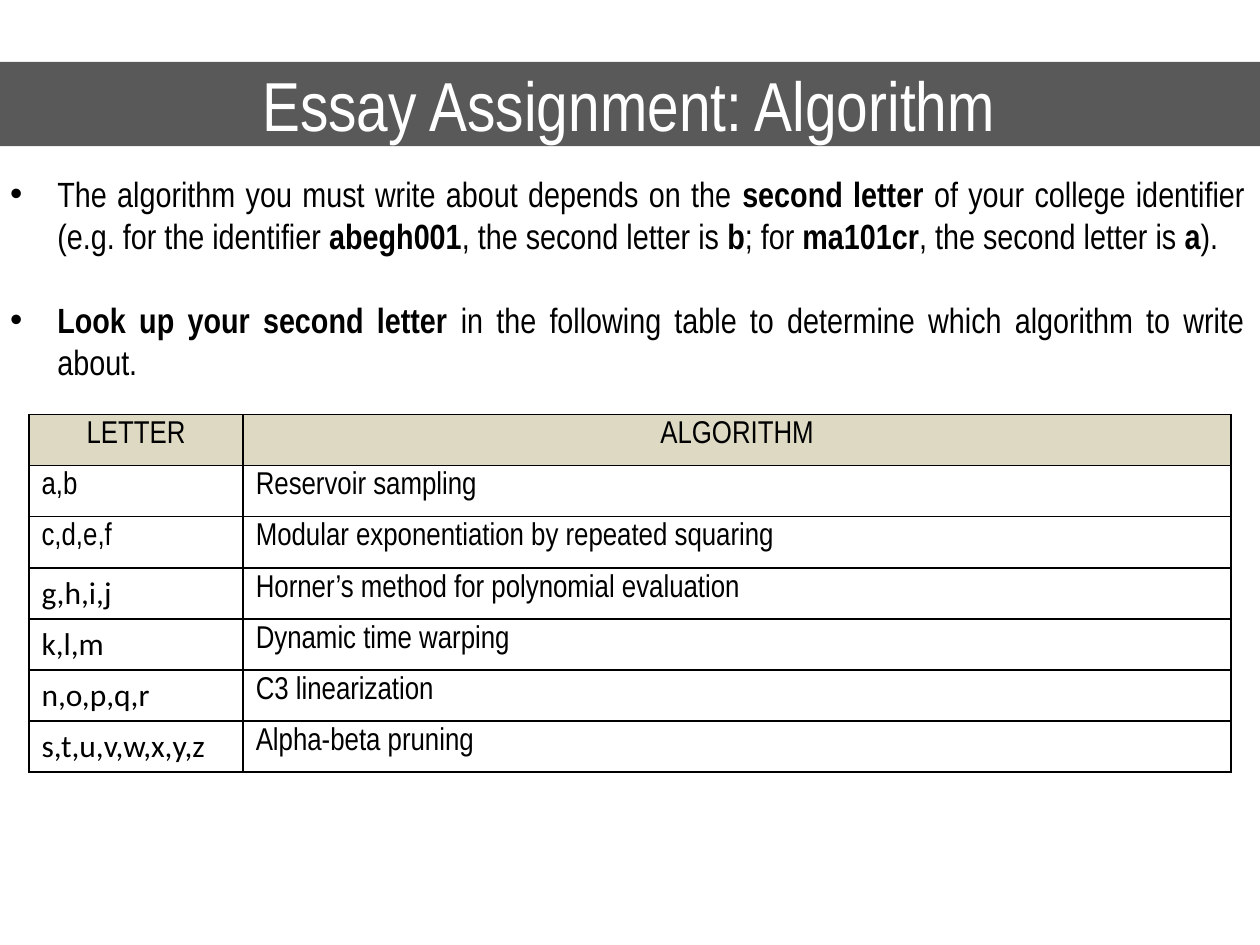
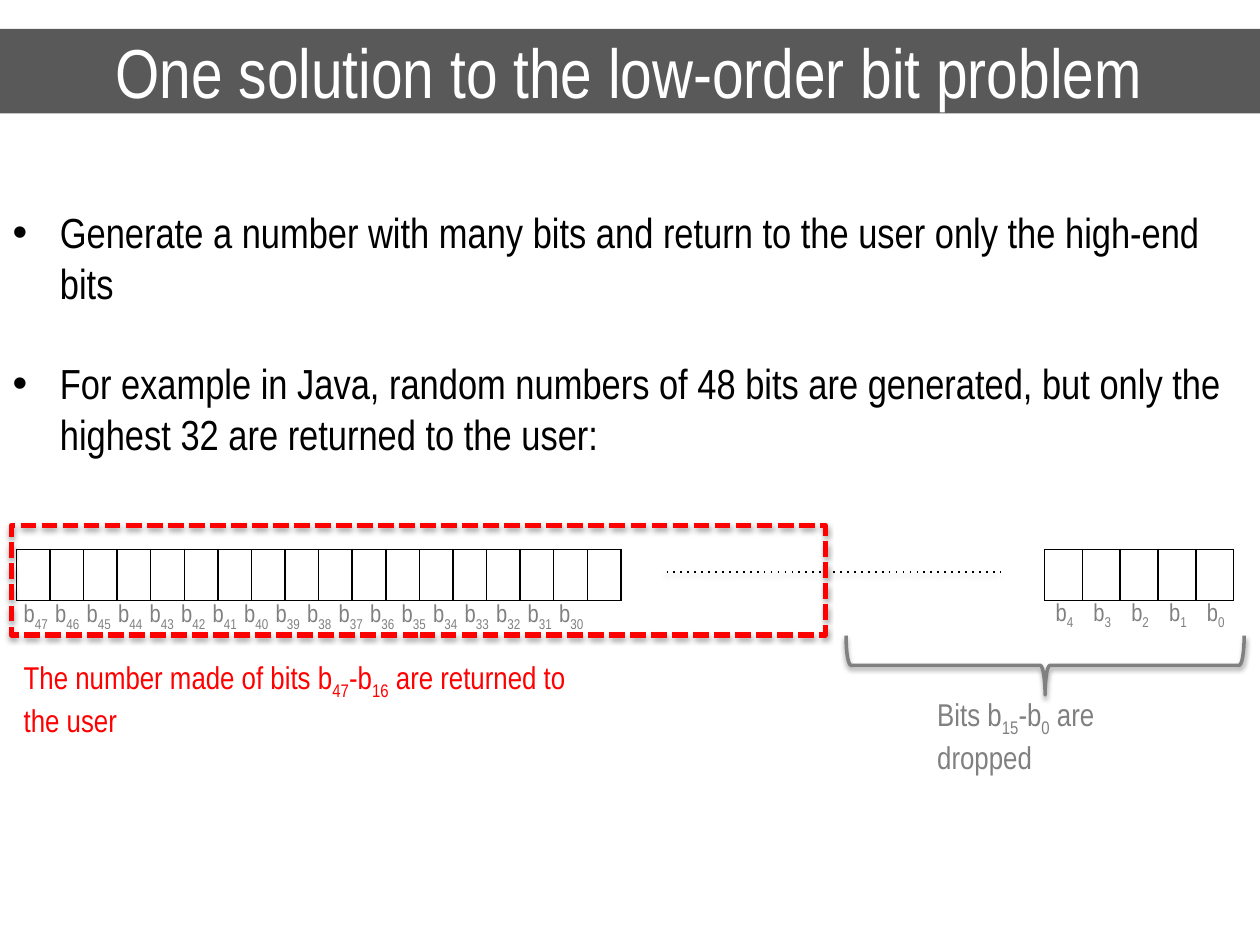
from lxml.etree import SubElement
from pptx import Presentation
from pptx.dml.color import RGBColor
from pptx.enum.shapes import MSO_CONNECTOR, MSO_SHAPE
from pptx.enum.text import MSO_ANCHOR, MSO_AUTO_SIZE, PP_ALIGN
from pptx.oxml.ns import qn
from pptx.util import Inches, Pt

COLOURS = {"band": "595959", "title": "FFFFFF", "ink": "000000", "header": "DDD9C3",
           "dropped": "808080", "returned": "FF0000"}
FONT = "Arial Narrow"
CELL_FONT = "Calibri"
ROW_HEIGHT = 2.84 / 7

# Parts between bars are emphasised: bold in lists, subscript in bit labels.
ESSAY = {
    "title": "Essay Assignment: Algorithm",
    "points": [
        "The algorithm you must write about depends on the |second letter |of your college "
        "identifier (e.g. for the identifier |abegh001|, the second letter is |b|; for "
        "|ma101cr|, the second letter is |a|).",
        "|Look up your second letter |in the following table to determine which algorithm "
        "to write about.",
    ],
    "header": ("LETTER", "ALGORITHM"),
    "rows": [
        ("a,b", "Reservoir sampling"),
        ("c,d,e,f", "Modular exponentiation by repeated squaring"),
        ("g,h,i,j", "Horner’s method for polynomial evaluation"),
        ("k,l,m", "Dynamic time warping"),
        ("n,o,p,q,r", "C3 linearization"),
        ("s,t,u,v,w,x,y,z", "Alpha-beta pruning"),
    ],
    "calibri_letters_from": 3,
}
BITS = {
    "title": "One solution to the low-order bit problem",
    "points": [
        "Generate a number with many bits and return to the user only the high-end bits",
        "For example in Java, random numbers of 48 bits are generated, but only the highest "
        "32 are returned to the user:",
    ],
    # first bit, last bit, cells left, cell width, labels box, label pitch
    "registers": [
        (47, 30, 0.13, 4.8 / 18, (0.09, 4.7, 5.96, 0.34), 0.25),
        (4, 0, 8.29, 0.3, (8.28, 4.69, 1.59, 0.34), 0.3),
    ],
    "captions": [
        ("The number made of bits b|47|-b|16| are returned to the user",
         (0.09, 5.17, 4.6, 0.75), "returned"),
        ("Bits b|15|-b|0| are dropped", (7.34, 5.47, 2.03, 0.75), "dropped"),
    ],
}


def colour(name):
    return RGBColor.from_string(COLOURS[name])


def write(para, text, size, ink="ink", font=FONT, mark="bold", align=None):
    """Fill a paragraph, giving every second part between bars the mark."""
    para.alignment = align
    for index, part in enumerate(text.split("|")):
        if not part:
            continue
        span = para.add_run()
        span.text = part
        span.font.name, span.font.size = font, Pt(size)
        span.font.color.rgb = colour(ink)
        if index % 2 and mark == "bold":
            span.font.bold = True
        elif index % 2:
            span._r.get_or_add_rPr().set("baseline", "-25000")


def place(shape, left, top, width, height):
    shape.left, shape.top = Inches(left), Inches(top)
    shape.width, shape.height = Inches(width), Inches(height)


def add_page(deck, content, band_top, list_area, size, align=None):
    """Add a slide with its title band and bulleted list."""
    page = deck.slides.add_slide(deck.slide_layouts[1])
    title, body = page.shapes.title, page.placeholders[1]
    place(title, -0.02, band_top, 10.02, 0.67)
    title.fill.solid()
    title.fill.fore_color.rgb = colour("band")
    title.text_frame.auto_size = MSO_AUTO_SIZE.NONE
    title.text_frame.vertical_anchor = MSO_ANCHOR.MIDDLE
    write(title.text_frame.paragraphs[0], content["title"], 39.6, "title",
          align=PP_ALIGN.CENTER)

    place(body, *list_area)
    frame = body.text_frame
    frame.auto_size = MSO_AUTO_SIZE.NONE
    for index, point in enumerate(content["points"]):
        para = frame.add_paragraph() if index else frame.paragraphs[0]
        para.space_before = Pt(1.2 * size if index else 0)
        write(para, point, size, align=align)
    return page


def add_grid(page, left, top, widths, row_count):
    """Add an unstyled table with thin black borders."""
    frame = page.shapes.add_table(row_count, len(widths), Inches(left), Inches(top),
                                  Inches(sum(widths)), Inches(ROW_HEIGHT * row_count))
    table = frame.table
    table.first_row = table.horz_banding = False
    for column, width in zip(table.columns, widths):
        column.width = Inches(width)
    for cell in table.iter_cells():
        properties = cell._tc.get_or_add_tcPr()
        for side in ("a:lnL", "a:lnR", "a:lnT", "a:lnB"):
            border = SubElement(properties, qn(side), w=str(Pt(1)))
            fill = SubElement(border, qn("a:solidFill"))
            SubElement(fill, qn("a:srgbClr"), val=COLOURS["ink"])
        cell.fill.background()
    return table


def add_label(page, area, text, size, ink):
    box = page.shapes.add_textbox(*map(Inches, area))
    box.text_frame.word_wrap = True
    para = box.text_frame.paragraphs[0]
    write(para, text, size, ink, mark="subscript")
    return para


def add_register(page, first, last, left, cell_width, label_area, pitch):
    """Draw one row of bit cells with evenly tabbed labels below."""
    bits = range(first, last - 1, -1)
    add_grid(page, left, 4.36, [cell_width] * len(bits), 1)
    labels = "\t".join(f"b|{bit}|" for bit in bits)
    para = add_label(page, label_area, labels, 14, "dropped")
    tabs = SubElement(para._p.get_or_add_pPr(), qn("a:tabLst"))
    for index in range(1, len(bits)):
        SubElement(tabs, qn("a:tab"), pos=str(Inches(index * pitch)), algn="l")


def outline(shape, ink, width, dash="solid"):
    """Set the line and the soft shadow beneath it."""
    shape.line.color.rgb = colour(ink)
    shape.line.width = Pt(width)
    properties = shape.element.spPr
    SubElement(properties.find(qn("a:ln")), qn("a:prstDash"), val=dash)
    effects = SubElement(properties, qn("a:effectLst"))
    shadow = SubElement(effects, qn("a:outerShdw"), blurRad=str(Pt(3.1)), dist=str(Pt(1.6)),
                        dir="5400000", rotWithShape="0")
    tint = SubElement(shadow, qn("a:srgbClr"), val=COLOURS["ink"])
    SubElement(tint, qn("a:alpha"), val="38000")


def build_essay(deck):
    page = add_page(deck, ESSAY, 0.49, (-0.02, 1.32, 10, 1.78), 20, PP_ALIGN.JUSTIFY)
    rows = [ESSAY["header"], *ESSAY["rows"]]
    table = add_grid(page, 0.23, 3.29, (1.7, 7.84), len(rows))
    for row, texts in enumerate(rows):
        for column, text in enumerate(texts):
            cell = table.cell(row, column)
            font, align = FONT, PP_ALIGN.LEFT
            if row == 0:
                align = PP_ALIGN.CENTER
                cell.fill.solid()
                cell.fill.fore_color.rgb = colour("header")
            elif column == 0 and row >= ESSAY["calibri_letters_from"]:
                font = CELL_FONT
                cell.vertical_anchor = MSO_ANCHOR.MIDDLE
            write(cell.text_frame.paragraphs[0], text, 18, font=font, align=align)


def build_bits(deck):
    page = add_page(deck, BITS, 0.23, (0, 1.59, 10, 2.12), 24)
    for register in BITS["registers"]:
        add_register(page, *register)

    omitted_bits = page.shapes.add_connector(
        MSO_CONNECTOR.STRAIGHT, Inches(5.29), Inches(4.54), Inches(7.94), Inches(4.54))
    outline(omitted_bits, "ink", 1, "dot")

    returned_frame = page.shapes.add_shape(
        MSO_SHAPE.RECTANGLE, Inches(0.09), Inches(4.17), Inches(6.46), Inches(0.87))
    returned_frame.fill.background()
    outline(returned_frame, "returned", 3, "sysDash")

    dropped_brace = page.shapes.add_shape(
        MSO_SHAPE.LEFT_BRACE, Inches(8.06), Inches(3.7), Inches(0.47), Inches(3.16))
    dropped_brace.rotation = 270
    dropped_brace.fill.background()
    outline(dropped_brace, "dropped", 2)

    for text, area, ink in BITS["captions"]:
        add_label(page, area, text, 18, ink)


def main():
    deck = Presentation()
    deck.slide_width, deck.slide_height = Inches(10), Inches(7.5)
    build_essay(deck)
    build_bits(deck)
    deck.save("out.pptx")


if __name__ == "__main__":
    main()
